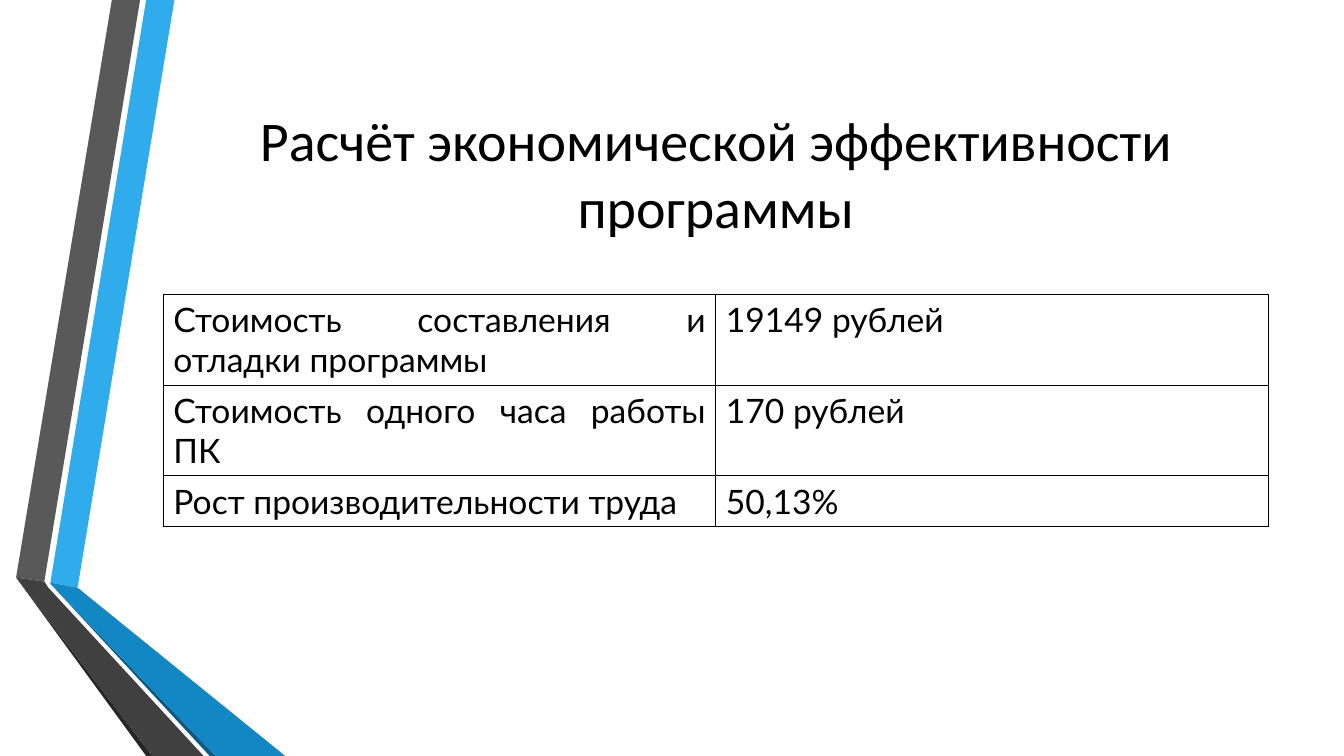
from dataclasses import dataclass

from lxml.etree import SubElement
from pptx import Presentation
from pptx.dml.color import RGBColor
from pptx.enum.text import MSO_ANCHOR, MSO_AUTO_SIZE, PP_ALIGN
from pptx.oxml.ns import qn
from pptx.util import Inches, Pt


@dataclass(frozen=True)
class Theme:
    """Hold the colours, fonts and type sizes of the slide."""

    text: str = "000000"
    blue: str = "30ACEC"
    blue_fold: str = "1287C3"
    blue_edge: str = "0C5A82"
    gray: str = "595959"
    gray_fold: str = "404040"
    gray_edge: str = "262626"
    title_font: str = "Calibri"
    table_font: str = "Lato"
    title_size: int = 40
    table_size: int = 24
    border_width: int = 1


THEME = Theme()
LEFT, WIDTH = 1.62, 10.96
TITLE = "Расчёт экономической эффективности программы"
RESULTS = [
    ("Стоимость составления и отладки программы", "19149 рублей"),
    ("Стоимость одного часа работы ПК", "170 рублей"),
    ("Рост производительности труда", "50,13%"),
]
ROW_HEIGHTS = [0.9, 0.9, 0.5]
RIBBONS = [
    (THEME.blue, [(0.5, 5.78), (0.77, 5.83), (1.73, 0), (1.45, 0)]),
    (THEME.gray, [(1.39, 0), (1.11, 0), (0.16, 5.73), (0.44, 5.77)]),
    (THEME.gray_edge, [(0.16, 5.73), (1.45, 7.5), (1.51, 7.5)]),
    (THEME.blue_edge, [(0.5, 5.79), (2.08, 7.5), (2.14, 7.5)]),
    (THEME.blue_fold, [(0.5, 5.78), (0.5, 5.79), (2.14, 7.5), (2.83, 7.5), (0.77, 5.83)]),
    (THEME.gray_fold, [(2.02, 7.5), (0.48, 5.83), (0.44, 5.77), (0.16, 5.73), (1.51, 7.5)]),
]


def set_values(target, values):
    """Set each named attribute of the target."""
    for name, value in values.items():
        setattr(target, name, value)


def write_text(frame, text, font, size, alignment):
    """Write one formatted paragraph into a text frame."""
    para = frame.paragraphs[0]
    para.alignment = alignment
    span = para.add_run()
    span.text = text
    set_values(span.font, {"name": font, "size": Pt(size), "bold": False})
    span.font.color.rgb = RGBColor.from_string(THEME.text)


def add_title(page):
    """Place and format the title placeholder."""
    title = page.shapes.title
    set_values(title, {
        "left": Inches(LEFT), "top": Inches(0.75),
        "width": Inches(WIDTH), "height": Inches(1.92),
    })
    set_values(title.text_frame, {
        "word_wrap": True,
        "auto_size": MSO_AUTO_SIZE.NONE,
        "vertical_anchor": MSO_ANCHOR.MIDDLE,
    })
    write_text(title.text_frame, TITLE, THEME.title_font, THEME.title_size, PP_ALIGN.CENTER)


def add_ribbon(group, color, points):
    """Draw one filled polygon of the folded ribbons."""
    corners = [(Inches(x), Inches(y)) for x, y in points]
    builder = group.shapes.build_freeform(*corners[0])
    builder.add_line_segments(corners[1:], close=True)
    ribbon = builder.convert_to_shape()
    ribbon.shadow.inherit = False
    ribbon.fill.solid()
    ribbon.fill.fore_color.rgb = RGBColor.from_string(color)
    ribbon.line.fill.background()


def add_borders(cell):
    """Draw a solid line on all four sides of a cell."""
    properties = cell._tc.get_or_add_tcPr()
    for side in ("lnL", "lnR", "lnT", "lnB"):
        line = SubElement(properties, qn(f"a:{side}"), w=str(Pt(THEME.border_width)))
        fill = SubElement(line, qn("a:solidFill"))
        SubElement(fill, qn("a:srgbClr"), val=THEME.text)


def add_results(page):
    """Add the bordered table of calculated results."""
    frame = page.shapes.add_table(
        len(RESULTS), len(RESULTS[0]), Inches(LEFT), Inches(2.92),
        Inches(WIDTH), Inches(sum(ROW_HEIGHTS)),
    )
    table = frame.table
    set_values(table, {"first_row": False, "horz_banding": False})
    for row, height, texts in zip(table.rows, ROW_HEIGHTS, RESULTS):
        row.height = Inches(height)
        for cell, text in zip(row.cells, texts):
            add_borders(cell)
            cell.fill.background()
            write_text(cell.text_frame, text, THEME.table_font, THEME.table_size, PP_ALIGN.JUSTIFY)


def main():
    """Build and save the slide."""
    deck = Presentation()
    set_values(deck, {"slide_width": Inches(13.33), "slide_height": Inches(7.5)})
    page = deck.slides.add_slide(deck.slide_layouts[5])
    group = page.shapes.add_group_shape()
    for color, points in RIBBONS:
        add_ribbon(group, color, points)
    add_title(page)
    add_results(page)
    deck.save("out.pptx")


main()
